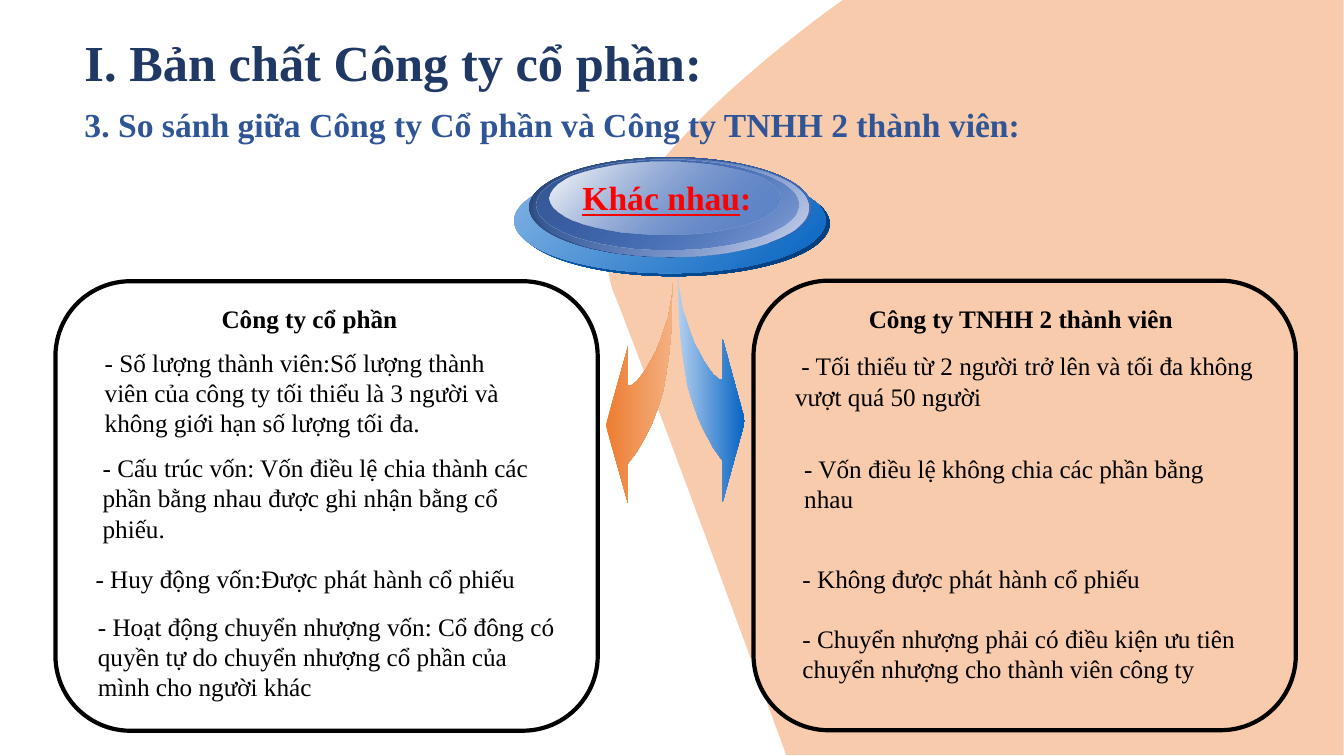
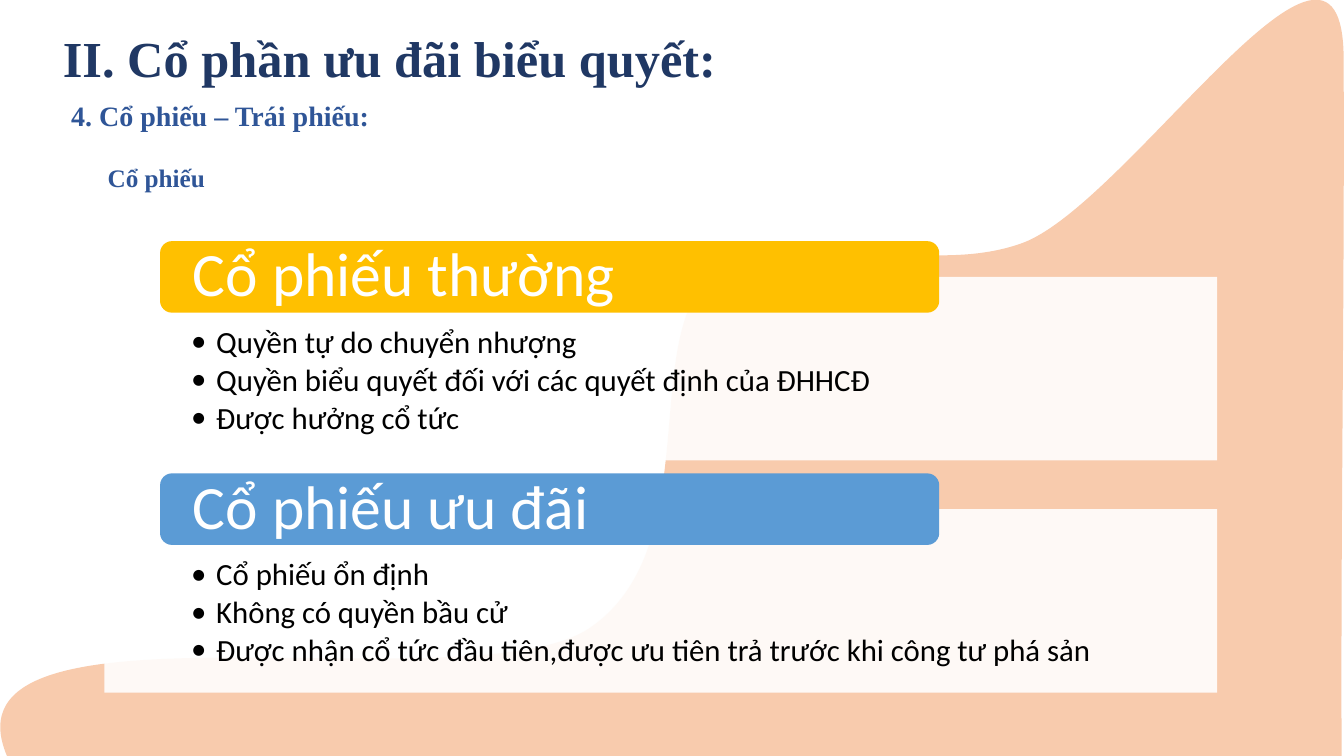
"""Build two slides on company shares: a comparison and the kinds of share."""
from dataclasses import dataclass

from lxml import etree
from pptx import Presentation
from pptx import util as u
from pptx.dml.color import RGBColor
from pptx.enum import shapes, text
from pptx.oxml import ns

GRID = u.Inches(0.1)
COLUMNS, ROWS = 133.33, 75
SERIF, SANS = "Times New Roman", "Calibri"

WHITE = RGBColor(0xFF, 0xFF, 0xFF)
BLACK = RGBColor(0x00, 0x00, 0x00)
NAVY = RGBColor(0x20, 0x38, 0x64)
BLUE = RGBColor(0x2F, 0x55, 0x97)
RED = RGBColor(0xFF, 0x00, 0x00)
PEACH = RGBColor(0xF8, 0xCB, 0xAD)
ORANGE = RGBColor(0xED, 0x7D, 0x31)
SALMON = RGBColor(0xF4, 0xB1, 0x83)
GOLD = RGBColor(0xFF, 0xC0, 0x00)
SKY = RGBColor(0x5B, 0x9B, 0xD5)
AZURE = RGBColor(0x05, 0x63, 0xC1)
DEEP_AZURE = RGBColor(0x03, 0x3C, 0x78)
PALE_AZURE = RGBColor(0xB4, 0xD0, 0xF0)
LIGHT_AZURE = RGBColor(0x84, 0xB4, 0xE4)
ROYAL = RGBColor(0x44, 0x72, 0xC4)
DARK_ROYAL = RGBColor(0x2A, 0x46, 0x78)
MID_ROYAL = RGBColor(0x36, 0x58, 0x98)
PALE_ROYAL = RGBColor(0xD6, 0xDB, 0xED)


@dataclass(frozen=True)
class Area:
    """A rectangle in grid cells."""
    left: float
    top: float
    width: float
    height: float

    def emu(self) -> list[int]:
        """Return the rectangle in slide units."""
        return [cells(v) for v in (self.left, self.top, self.width, self.height)]


@dataclass(frozen=True)
class Style:
    """The look of a text."""
    size: float
    color: RGBColor
    bold: bool = False
    name: str = SERIF


@dataclass(frozen=True)
class Stop:
    """One end of a gradient, with opacity in percent."""
    color: RGBColor
    opacity: int = 100


@dataclass(frozen=True)
class Disc:
    """One ellipse of the layered button."""
    area: Area
    start: Stop
    end: Stop


@dataclass(frozen=True)
class Backdrop:
    """A curved outline: a start, then line ends or cubic curves."""
    area: Area
    start: tuple[float, float]
    strokes: tuple[tuple[float, ...], ...]


@dataclass(frozen=True)
class Label:
    """A text and its place."""
    area: Area
    words: str


@dataclass(frozen=True)
class Company:
    """A framed column of the comparison."""
    frame: Area
    heading: Label
    points: tuple[Label, ...]


@dataclass(frozen=True)
class ShareKind:
    """A kind of share with its rights."""
    name: str
    color: RGBColor
    rights: tuple[str, ...]


TITLE = Style(36, NAVY, True)
BODY = Style(18, BLACK)
HEADING = Style(18, BLACK, True)
BUTTON = Style(24, RED, True)
BANNER = Style(44, WHITE, name=SANS)
RIGHTS = Style(22, BLACK, name=SANS)

FAN = Backdrop(Area(56.8, 0, 76.53, 74.9), (128.3, 0), (
    (88.6, 0, 88.6, 0, 88.6, 0),
    (83.6, 0, 83.6, 0, 83.6, 0),
    (83.6, 0, 56.8, 18.7, 60.8, 28.8),
    (64.8, 38.9, 78, 74.9, 78, 74.9),
    (83, 74.9, 83, 74.9, 83, 74.9),
    (128.3, 74.9, 128.3, 74.9, 128.3, 74.9),
    (133.3, 74.9, 133.3, 74.9, 133.3, 74.9),
    (133.3, 0, 133.3, 0, 133.3, 0),
    (128.3, 0),
))
WAVE = Backdrop(Area(0, 0, 133.33, 75), (0.7, 75), (
    (133.1, 75),
    (133, 52, 133.4, 29, 133.3, 5.9),
    (133.3, -13.5, 111.7, 20.7, 101.2, 24.2),
    (90.8, 27.8, 77.6, 21.1, 70.5, 27.4),
    (63.4, 33.8, 70.1, 54.4, 58.5, 62.3),
    (46.8, 70.2, -6.5, 58, 0.7, 75),
))
ARROW = (
    (0, 0), (0.1, 2.4), (0.2, 4.7), (0.4, 6.9), (0.7, 8.9), (1, 10.7),
    (1.5, 12.3), (2.1, 13.9), (2.8, 15.3), (3.6, 16.7), (4.5, 17.9),
    (4.5, 21.8), (6.7, 14.1), (4.5, 6.3), (4.5, 10.2), (4.1, 10.1),
    (3.6, 9.7), (3.2, 9.2), (2.7, 8.5), (2.2, 7.6), (1.7, 6.7),
    (1.3, 5.7), (0.9, 4.5), (0.5, 3.4), (0.3, 2.2), (0.1, 1.1), (0.1, 0),
)
DISCS = (
    Disc(Area(51.4, 17, 30.9, 10.4), Stop(AZURE), Stop(DEEP_AZURE)),
    Disc(Area(51, 16.7, 30.9, 10.4), Stop(LIGHT_AZURE), Stop(AZURE)),
    Disc(Area(52.5, 15.6, 28, 9.9), Stop(DARK_ROYAL), Stop(ROYAL)),
    Disc(Area(52.9, 15.7, 27.3, 9.7), Stop(ROYAL, 0), Stop(PALE_ROYAL)),
    Disc(Area(53.2, 15.8, 26, 9), Stop(MID_ROYAL), Stop(ROYAL, 48)),
    Disc(Area(54.5, 16, 22.9, 7.3), Stop(WHITE), Stop(ROYAL, 38)),
)
COMPANIES = (
    Company(
        Area(5.5, 27.9, 53.8, 44.6),
        Label(Area(21, 29.6, 19.6, 4), "Công ty cổ phần"),
        (
            Label(Area(9.4, 33.95, 41.8, 10.1),
                  "- Số lượng thành viên:Số lượng thành viên của công ty tối thiểu "
                  "là 3 người và không giới hạn số lượng tối đa."),
            Label(Area(9.2, 44.4, 44.7, 10.1),
                  "- Cấu trúc vốn: Vốn điều lệ chia thành các phần bằng nhau "
                  "được ghi nhận bằng cổ phiếu."),
            Label(Area(8.5, 55.4, 66.7, 4),
                  "- Huy động vốn:Được phát hành cổ phiếu"),
            Label(Area(8.73, 60.15, 48.1, 10.1),
                  "- Hoạt động chuyển nhượng vốn: Cổ đông có quyền tự do "
                  "chuyển nhượng cổ phần của mình cho người khác"),
        ),
    ),
    Company(
        Area(74.75, 27.85, 53.8, 44.6),
        Label(Area(85.2, 29.6, 32.5, 4), "Công ty TNHH 2 thành viên"),
        (
            Label(Area(77.9, 34.3, 47.6, 7.1),
                  " - Tối thiểu từ 2 người trở lên và tối đa không vượt quá 50 người"),
            Label(Area(78.8, 44.43, 47, 7.1),
                  "- Vốn điều lệ không chia các phần bằng nhau"),
            Label(Area(78.63, 55.4, 47, 4), "- Không được phát hành cổ phiếu"),
            Label(Area(78.63, 61.35, 47, 7.1),
                  "- Chuyển nhượng phải có điều kiện ưu tiên chuyển nhượng "
                  "cho thành viên công ty"),
        ),
    ),
)
SHARE_KINDS = (
    ShareKind("Cổ phiếu thường", GOLD, (
        "Quyền tự do chuyển nhượng",
        "Quyền biểu quyết đối với các quyết định của ĐHHCĐ",
        "Được hưởng cổ tức",
    )),
    ShareKind("Cổ phiếu ưu đãi", SKY, (
        "Cổ phiếu ổn định",
        "Không có quyền bầu cử",
        "Được nhận cổ tức đầu tiên,được ưu tiên trả trước khi công tư phá sản",
    )),
)


def cells(count: float) -> int:
    """Turn grid cells into slide units."""
    return round(count * GRID)


def fill_shape(shape, *stops: Stop, angle: float = 0) -> None:
    """Fill a shape with one colour or a linear gradient, without outline."""
    shape.shadow.inherit = False
    shape.line.fill.background()
    if len(stops) == 1:
        shape.fill.solid()
        shape.fill.fore_color.rgb = stops[0].color
    else:
        shape.fill.gradient()
        shape.fill.gradient_angle = angle
        for target, stop in zip(shape.fill.gradient_stops, stops):
            target.color.rgb = stop.color
    colors = shape.element.spPr.findall(".//" + ns.qn("a:srgbClr"))
    for color, stop in zip(colors, stops):
        if stop.opacity < 100:
            etree.SubElement(color, ns.qn("a:alpha")).set("val", str(stop.opacity * 1000))


def set_font(para, style: Style) -> None:
    """Set the font of a paragraph."""
    font = para.font
    font.name, font.size, font.bold = style.name, u.Pt(style.size), style.bold
    font.color.rgb = style.color


def add_text(page, area: Area, words: str, style: Style, wrap: bool = True):
    """Add a one-paragraph text box and return its paragraph."""
    frame = page.shapes.add_textbox(*area.emu()).text_frame
    frame.word_wrap = wrap
    para = frame.paragraphs[0]
    if words:
        para.add_run().text = words
    set_font(para, style)
    return para


def add_outline(page, points: list[tuple[float, float]]):
    """Add a closed outline through points given in grid cells."""
    corners = [(cells(x), cells(y)) for x, y in points]
    builder = page.shapes.build_freeform(*corners[0])
    builder.add_line_segments(corners[1:], close=True)
    return builder.convert_to_shape()


def add_backdrop(page, backdrop: Backdrop) -> None:
    """Add a peach outline made of lines and cubic curves."""
    area = backdrop.area
    shape = add_outline(page, [(area.left, area.top),
                               (area.left + area.width, area.top + area.height)])
    outline = shape.element.spPr.find(".//" + ns.qn("a:path"))
    for command in list(outline):
        outline.remove(command)
    names = {2: "a:lnTo", 6: "a:cubicBezTo"}
    commands = [("a:moveTo", backdrop.start)]
    commands += [(names[len(stroke)], stroke) for stroke in backdrop.strokes]
    for name, numbers in commands:
        command = etree.SubElement(outline, ns.qn(name))
        for x, y in zip(numbers[::2], numbers[1::2]):
            point = etree.SubElement(command, ns.qn("a:pt"))
            point.set("x", str(cells(x - area.left)))
            point.set("y", str(cells(y - area.top)))
    etree.SubElement(outline, ns.qn("a:close"))
    fill_shape(shape, Stop(PEACH))


def start_page(deck, backdrop: Backdrop, title: Label, subtitle: Label, size: float):
    """Add a blank page with its backdrop, title and subtitle."""
    page = deck.slides.add_slide(deck.slide_layouts[6])
    add_backdrop(page, backdrop)
    add_text(page, title.area, title.words, TITLE)
    add_text(page, subtitle.area, subtitle.words, Style(size, BLUE, True))
    return page


def add_arrow(page, left: float, top: float, side: int, stretch: float, *stops: Stop) -> None:
    """Add a curved arrow that bends to one side."""
    points = [(left + side * x, top + stretch * y) for x, y in ARROW]
    fill_shape(add_outline(page, points), *stops)


def add_company(page, company: Company) -> None:
    """Add a framed column with its heading and points."""
    frame = page.shapes.add_shape(shapes.MSO_SHAPE.ROUNDED_RECTANGLE, *company.frame.emu())
    frame.shadow.inherit = False
    frame.fill.background()
    frame.line.color.rgb = BLACK
    frame.line.width = u.Pt(3)
    add_text(page, company.heading.area, company.heading.words, HEADING, wrap=False)
    for point in company.points:
        add_text(page, point.area, point.words, BODY)


def add_panel(page, kind: shapes.MSO_SHAPE, area: Area, fill: Stop, lines: tuple[str, ...],
              style: Style, after: float, inset: float, top: float):
    """Add a filled shape with left-aligned lines and return its text frame."""
    panel = page.shapes.add_shape(kind, *area.emu())
    fill_shape(panel, fill)
    frame = panel.text_frame
    frame.word_wrap = True
    frame.margin_left = frame.margin_right = cells(inset)
    frame.margin_top, frame.margin_bottom = cells(top), 0
    for index, line in enumerate(lines):
        para = frame.add_paragraph() if index else frame.paragraphs[0]
        para.text = line
        para.alignment = text.PP_ALIGN.LEFT
        para.line_spacing, para.space_after = 0.9, u.Pt(after)
        set_font(para, style)
    return frame


def add_share_kind(page, kind: ShareKind, top: float) -> None:
    """Add a bulleted panel with a coloured banner on its upper edge."""
    frame = add_panel(page, shapes.MSO_SHAPE.RECTANGLE, Area(10.36, top, 110.4, 18.2),
                      Stop(WHITE, 90), kind.rights, RIGHTS, 3.3, 8.6, 4.95)
    frame.vertical_anchor = text.MSO_ANCHOR.TOP
    for para in frame.paragraphs:
        properties = para._p.get_or_add_pPr()
        properties.set("marL", str(cells(2.5)))
        properties.set("indent", str(cells(-2.5)))
        spacing = properties.find(ns.qn("a:spcAft"))
        spacing.addnext(properties.makeelement(ns.qn("a:buChar"), {"char": "•"}))
        spacing.addnext(properties.makeelement(ns.qn("a:buFont"), {"typeface": SANS}))
    banner = add_panel(page, shapes.MSO_SHAPE.ROUNDED_RECTANGLE,
                       Area(15.88, top - 3.55, 77.3, 7.1), Stop(kind.color),
                       (kind.name,), BANNER, 0, 2.9, 0)
    banner.vertical_anchor = text.MSO_ANCHOR.MIDDLE


def build_comparison(deck) -> None:
    """Build the slide that compares two kinds of company."""
    page = start_page(
        deck, FAN, Label(Area(7.4, 2.6, 70.3, 7.1), "I. Bản chất Công ty cổ phần:"),
        Label(Area(7.4, 9.8, 103.7, 5),
              "3. So sánh giữa Công ty Cổ phần và Công ty TNHH 2 thành viên:"), 24)
    add_arrow(page, 66.8, 28.1, -1, 1, Stop(ORANGE), Stop(SALMON))
    add_arrow(page, 67.2, 27.1, 1, 1.04, Stop(PALE_AZURE), Stop(AZURE))
    for disc in DISCS:
        ellipse = page.shapes.add_shape(shapes.MSO_SHAPE.OVAL, *disc.area.emu())
        fill_shape(ellipse, disc.start, disc.end, angle=315)
    para = add_text(page, Area(56.8, 17.1, 19.7, 5), "", BUTTON)
    for words, underline in (("Khác nhau", True), (":", False)):
        span = para.add_run()
        span.text, span.font.underline = words, underline
    for company in COMPANIES:
        add_company(page, company)


def build_share_kinds(deck) -> None:
    """Build the slide on the kinds of share."""
    page = start_page(
        deck, WAVE, Label(Area(5.25, 2.2, 69.4, 7.1), "II. Cổ phần ưu đãi biểu quyết:"),
        Label(Area(6.07, 9.3, 119.6, 4.4), "4. Cổ phiếu – Trái phiếu:"), 20)
    add_text(page, Area(9.7, 15.6, 13, 4), "Cổ phiếu", Style(18, BLUE, True))
    for index, kind in enumerate(SHARE_KINDS):
        add_share_kind(page, kind, 27.47 + 23.04 * index)


def main() -> None:
    """Build and save the deck."""
    deck = Presentation()
    deck.slide_width, deck.slide_height = cells(COLUMNS), cells(ROWS)
    build_comparison(deck)
    build_share_kinds(deck)
    deck.save("out.pptx")


if __name__ == "__main__":
    main()
